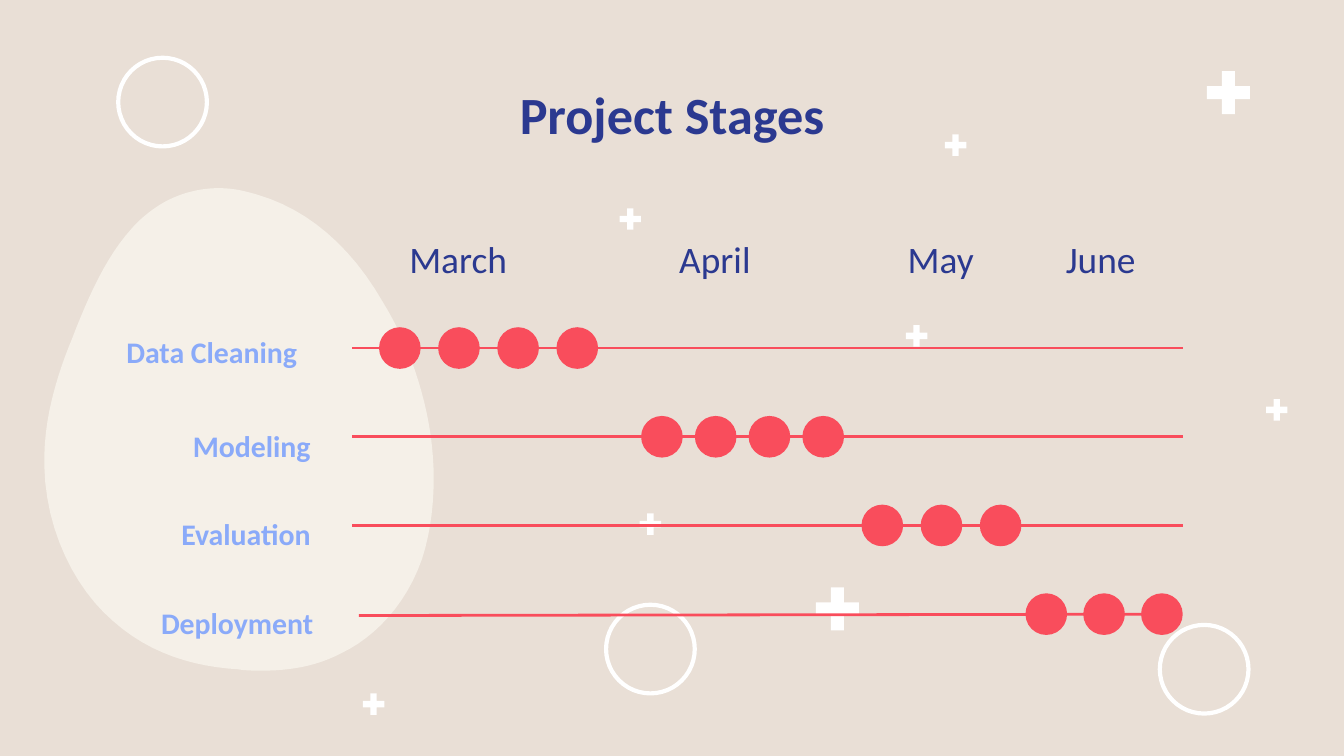
from lxml.etree import SubElement
from pptx import Presentation
from pptx.dml.color import RGBColor
from pptx.enum.shapes import MSO_CONNECTOR as Connector, MSO_SHAPE as Shape
from pptx.enum.text import MSO_ANCHOR as Anchor, MSO_AUTO_SIZE as AutoSize, PP_ALIGN as Align
from pptx.oxml.ns import qn
from pptx.util import Inches, Pt

SAND = RGBColor(0xE9, 0xDF, 0xD6)
CREAM = RGBColor(0xF5, 0xF0, 0xE8)
WHITE = RGBColor(0xFF, 0xFF, 0xFF)
NAVY = RGBColor(0x2B, 0x39, 0x90)
SKY = RGBColor(0x8A, 0xAA, 0xF9)
CORAL = RGBColor(0xF9, 0x4D, 0x5C)


def write_text(box, text, size, color, align=Align.CENTER, bold=False,
               anchor=Anchor.TOP, line_spacing=1.0, space_after=0):
    frame = box.text_frame
    frame.word_wrap = True
    frame.auto_size = AutoSize.NONE
    frame.vertical_anchor = anchor
    frame.margin_left = frame.margin_right = Inches(0.1)
    frame.margin_top = frame.margin_bottom = Inches(0.1)
    para = frame.paragraphs[0]
    para.alignment = align
    para.line_spacing = line_spacing
    para.space_before = Pt(0)
    para.space_after = Pt(space_after)
    span = para.add_run()
    span.text = text
    span.font.name = "Calibri"
    span.font.size = Pt(size)
    span.font.bold = bold
    span.font.color.rgb = color


def style_shape(shape, fill=None, line=None):
    shape.shadow.inherit = False
    if fill is None:
        shape.fill.background()
    else:
        shape.fill.solid()
        shape.fill.fore_color.rgb = fill
    if line is None:
        shape.line.fill.background()
    else:
        shape.line.color.rgb = line
        shape.line.width = Pt(2.25)


deck = Presentation()
deck.slide_width = Inches(10)
deck.slide_height = Inches(10 * 9 / 16)
page = deck.slides.add_slide(deck.slide_layouts[5])
page.background.fill.solid()
page.background.fill.fore_color.rgb = SAND
shapes = page.shapes

title = shapes.title
title.left, title.top = Inches(0.78), Inches(0.61)
title.width, title.height = Inches(8.44), Inches(0.47)
write_text(title, "Project Stages", 28, NAVY, bold=True, anchor=Anchor.MIDDLE)

BLOB_START = (1.63, 1.4)
BLOB_CURVES = [
    ((1.5, 1.4), (1.36, 1.43), (1.23, 1.5)),
    ((1.14, 1.55), (1.05, 1.62), (0.98, 1.7)),
    ((0.79, 1.91), (0.66, 2.2), (0.54, 2.51)),
    ((0.42, 2.8), (0.32, 3.13), (0.33, 3.47)),
    ((0.34, 3.95), (0.56, 4.38), (0.84, 4.62)),
    ((1.12, 4.87), (1.45, 4.96), (1.77, 4.98)),
    ((1.83, 4.99), (1.89, 4.99), (1.95, 4.99)),
    ((2.15, 4.99), (2.35, 4.96), (2.54, 4.86)),
    ((2.79, 4.74), (3.02, 4.5), (3.14, 4.16)),
    ((3.24, 3.85), (3.25, 3.48), (3.19, 3.15)),
    ((3.13, 2.82), (3.01, 2.51), (2.85, 2.25)),
    ((2.61, 1.83), (2.29, 1.56), (1.92, 1.45)),
    ((1.82, 1.42), (1.73, 1.4), (1.63, 1.4)),
]
STEPS = 12
outline = []
start = BLOB_START
for first, second, end in BLOB_CURVES:
    for step in range(1, STEPS + 1):
        t = step / STEPS
        outline.append(tuple(
            Inches((1 - t) ** 3 * a + 3 * (1 - t) ** 2 * t * b + 3 * (1 - t) * t ** 2 * c + t ** 3 * d)
            for a, b, c, d in zip(start, first, second, end)))
    start = end
builder = shapes.build_freeform(Inches(BLOB_START[0]), Inches(BLOB_START[1]))
builder.add_line_segments(outline, close=True)
style_shape(builder.convert_to_shape(), fill=CREAM)

for left, top in [(0.88, 0.43), (4.51, 4.5), (8.63, 4.65)]:
    ring = shapes.add_shape(Shape.OVAL, Inches(left), Inches(top), Inches(0.66), Inches(0.66))
    style_shape(ring, line=WHITE)

SMALL, LARGE = 0.16, 0.32
pluses = [(7.03, 1, SMALL), (6.07, 4.37, LARGE), (8.98, 0.53, LARGE), (6.74, 2.42, SMALL),
          (4.76, 3.82, SMALL), (2.7, 5.16, SMALL), (9.42, 2.97, SMALL), (4.61, 1.55, SMALL)]
for left, top, size in pluses:
    plus = shapes.add_shape(Shape.CROSS, Inches(left), Inches(top), Inches(size), Inches(size))
    plus.adjustments[0] = 0.35
    style_shape(plus, fill=WHITE)

for month, left in [("March", 2.66), ("April", 4.57), ("May", 6.25), ("June", 7.44)]:
    box = shapes.add_textbox(Inches(left), Inches(1.66), Inches(1.5), Inches(0.47))
    write_text(box, month, 20, NAVY, space_after=16)

DOT = 0.31
FIRST_ROW, ROW_GAP = 2.59, 0.66
stages = [
    ("Data Cleaning", 2.31, 1.0, (2.62, 2.59, 8.8, 2.59), 2.82, 0.44, 4),
    ("Modeling", 2.41, 1.15, (2.62, 3.25, 8.8, 3.25), 4.77, 0.4, 4),
    ("Evaluation", 2.41, 1.15, (2.62, 3.91, 8.8, 3.91), 6.41, 0.44, 3),
    ("Deployment", 2.43, 1.15, (2.67, 4.58, 8.78, 4.57), 7.63, 0.43, 3),
]
for row, (stage, label_right, spacing, ends, first_dot, dot_gap, count) in enumerate(stages):
    middle = FIRST_ROW + row * ROW_GAP
    label = shapes.add_textbox(0, Inches(middle - 0.21), Inches(label_right), Inches(0.43))
    write_text(label, stage, 16, SKY, align=Align.RIGHT, bold=True,
               line_spacing=spacing, space_after=16)
    track = shapes.add_connector(Connector.STRAIGHT, *[Inches(value) for value in ends])
    track.line.color.rgb = CORAL
    track.line.width = Pt(1.5)
    SubElement(track._element.spPr, qn("a:effectLst"))
    for index in range(count):
        dot = shapes.add_shape(Shape.OVAL, Inches(first_dot + index * dot_gap),
                               Inches(middle - DOT / 2), Inches(DOT), Inches(DOT))
        style_shape(dot, fill=CORAL)

deck.save("out.pptx")
